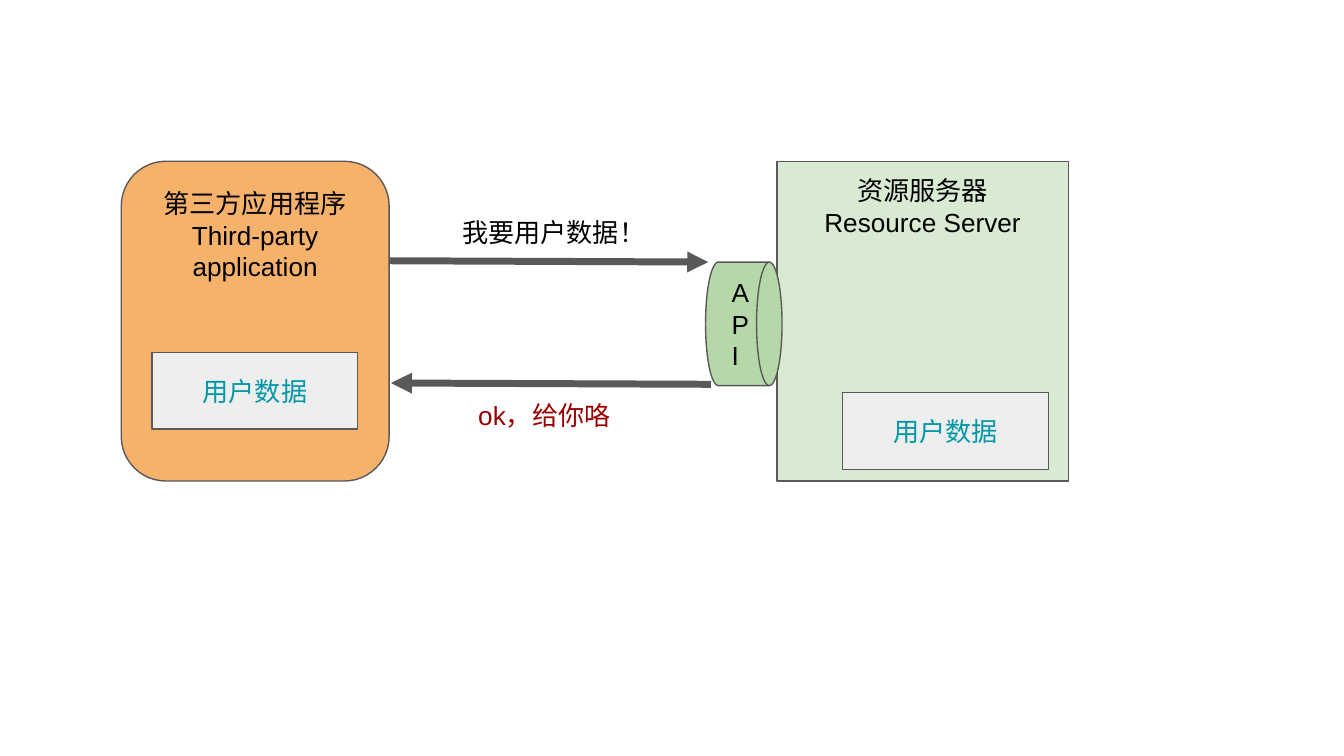
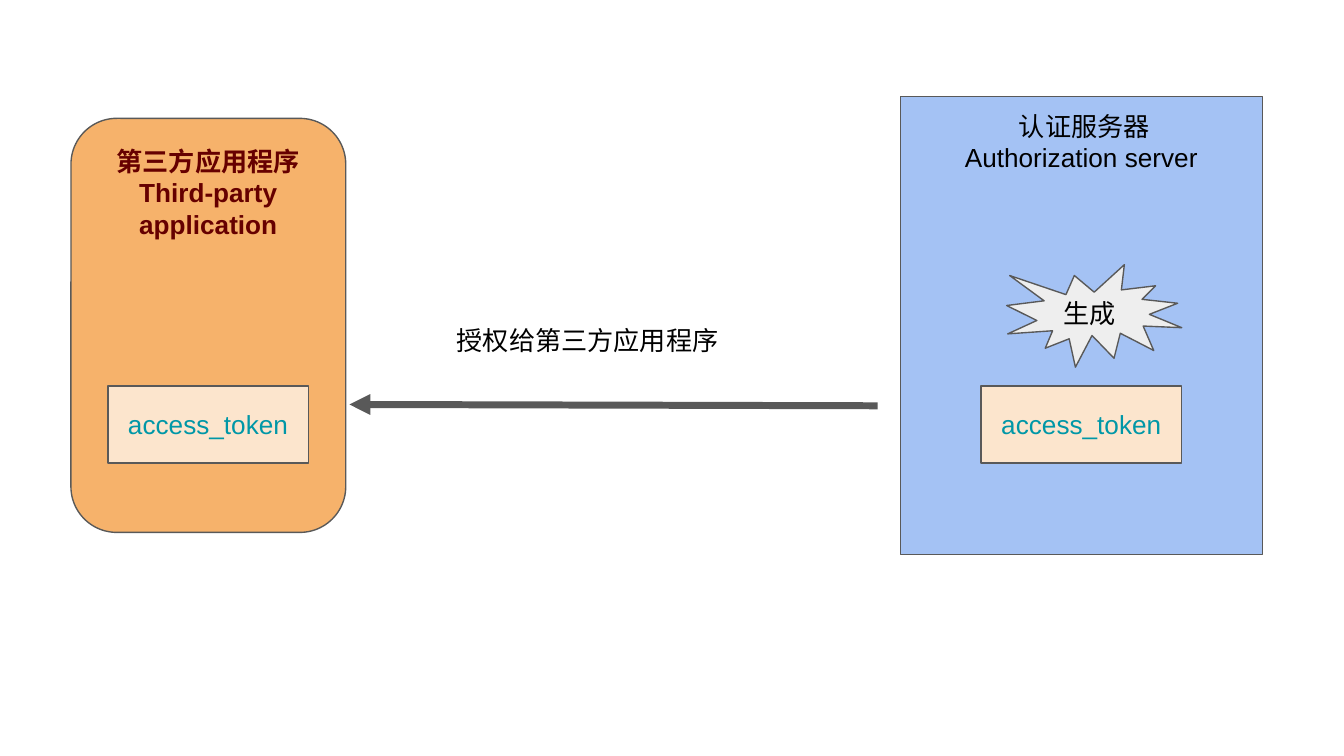
from dataclasses import dataclass
from typing import Any

from lxml.etree import SubElement
from pptx import Presentation
from pptx.dml.color import RGBColor
from pptx.enum.shapes import MSO_CONNECTOR, MSO_SHAPE
from pptx.enum.text import MSO_ANCHOR, PP_ALIGN
from pptx.oxml.ns import qn
from pptx.slide import Slide
from pptx.util import Pt

BLACK = "000000"
OUTLINE = "595959"
ORANGE = "F6B26B"
TEAL = "0097A7"
GREY = "EEEEEE"

FRAME_FORMAT = {
    "word_wrap": True,
    "margin_left": Pt(7.2),
    "margin_top": Pt(7.2),
    "margin_right": Pt(7.2),
    "margin_bottom": Pt(7.2),
}
FONT_FORMAT = {"name": "Arial", "size": Pt(14)}


@dataclass(frozen=True)
class Label:
    text: str
    left: float
    top: float
    width: float
    height: float
    color: str = BLACK
    bold: bool = False
    align: PP_ALIGN = PP_ALIGN.LEFT
    anchor: MSO_ANCHOR = MSO_ANCHOR.TOP


@dataclass(frozen=True)
class Block:
    outline: MSO_SHAPE
    fill: str
    label: Label


@dataclass(frozen=True)
class Arrow:
    start: tuple[float, float]
    end: tuple[float, float]


def rgb(color: str) -> RGBColor:
    return RGBColor.from_string(color)


def apply_format(target: Any, values: dict[str, Any]) -> None:
    for name, value in values.items():
        setattr(target, name, value)


def write_text(frame: Any, label: Label) -> None:
    apply_format(frame, FRAME_FORMAT | {"vertical_anchor": label.anchor})
    frame.text = label.text
    for paragraph in frame.paragraphs:
        paragraph.alignment = label.align
        for run in paragraph.runs:
            apply_format(run.font, FONT_FORMAT | {"bold": label.bold})
            run.font.color.rgb = rgb(label.color)


def bounds(label: Label) -> list[Pt]:
    return [Pt(length) for length in (label.left, label.top, label.width, label.height)]


def draw_label(slide: Slide, label: Label) -> None:
    write_text(slide.shapes.add_textbox(*bounds(label)).text_frame, label)


def draw_block(slide: Slide, block: Block) -> None:
    body = slide.shapes.add_shape(block.outline, *bounds(block.label))
    body.shadow.inherit = False
    body.fill.solid()
    body.fill.fore_color.rgb = rgb(block.fill)
    body.line.color.rgb = rgb(OUTLINE)
    body.line.width = Pt(0.75)
    write_text(body.text_frame, block.label)


def draw_arrow(slide: Slide, arrow: Arrow) -> None:
    ends = [Pt(length) for length in (*arrow.start, *arrow.end)]
    flow = slide.shapes.add_connector(MSO_CONNECTOR.STRAIGHT, *ends)
    flow.line.color.rgb = rgb(OUTLINE)
    flow.line.width = Pt(3.75)
    properties = flow._element.spPr
    SubElement(properties.find(qn("a:ln")), qn("a:tailEnd"), type="triangle")
    SubElement(properties, qn("a:effectLst"))


def server(text: str, fill: str, left: float, top: float, width: float, height: float) -> Block:
    label = Label(text, left, top, width, height, align=PP_ALIGN.CENTER)
    return Block(MSO_SHAPE.RECTANGLE, fill, label)


def third_party(
    left: float, top: float, width: float, height: float, color: str = BLACK, bold: bool = False
) -> Block:
    text = "第三方应用程序\nThird-party application"
    label = Label(text, left, top, width, height, color, bold, PP_ALIGN.CENTER)
    return Block(MSO_SHAPE.ROUNDED_RECTANGLE, ORANGE, label)


def payload(text: str, fill: str, left: float, top: float, width: float) -> Block:
    label = Label(
        text, left, top, width, 41.2, TEAL, align=PP_ALIGN.CENTER, anchor=MSO_ANCHOR.MIDDLE
    )
    return Block(MSO_SHAPE.RECTANGLE, fill, label)


def user_data(left: float, top: float) -> Block:
    return payload("用户数据", GREY, left, top, 110.2)


def access_token(left: float) -> Block:
    return payload("access_token", "FCE5CD", left, 206.8, 107.4)


DATA_REQUEST = [
    server("资源服务器\nResource Server", "D9EAD3", 416.2, 86.4, 156.2, 171.3),
    third_party(65, 86.4, 143.5, 171.3),
    Arrow((208.8, 139.7), (379.4, 140.4)),
    Block(
        MSO_SHAPE.FLOWCHART_DIRECT_ACCESS_STORAGE,
        "B6D7A8",
        Label("API", 378, 140.4, 41, 66.2, anchor=MSO_ANCHOR.MIDDLE),
    ),
    Arrow((380.9, 205.9), (209.5, 205.2)),
    Label("ok，给你咯", 249.1, 206.6, 94.3, 33.1, "990000"),
    Label("我要用户数据！", 240.5, 108.7, 119.5, 41),
    user_data(451.4, 210.4),
    user_data(81.5, 188.7),
]

TOKEN_GRANT = [
    third_party(38, 63.4, 147.2, 221.8, "660000", True),
    server(" 认证服务器\nAuthorization server", "A4C2F4", 482.4, 51.8, 193.9, 245.3),
    access_token(525.6),
    Block(
        MSO_SHAPE.EXPLOSION1,
        GREY,
        Label(" 生成", 539.3, 141.8, 93.8, 54.9, anchor=MSO_ANCHOR.MIDDLE),
    ),
    access_token(57.8),
    Arrow((470.2, 217.4), (187.2, 216.7)),
    Label("授权给第三方应用程序", 237.6, 166.3, 169.9, 25.2),
]

DRAW = {Label: draw_label, Block: draw_block, Arrow: draw_arrow}


def main() -> None:
    deck = Presentation()
    apply_format(deck, {"slide_width": Pt(720), "slide_height": Pt(405)})
    for diagram in (DATA_REQUEST, TOKEN_GRANT):
        slide = deck.slides.add_slide(deck.slide_layouts[6])
        for part in diagram:
            DRAW[type(part)](slide, part)
    deck.save("out.pptx")


if __name__ == "__main__":
    main()
